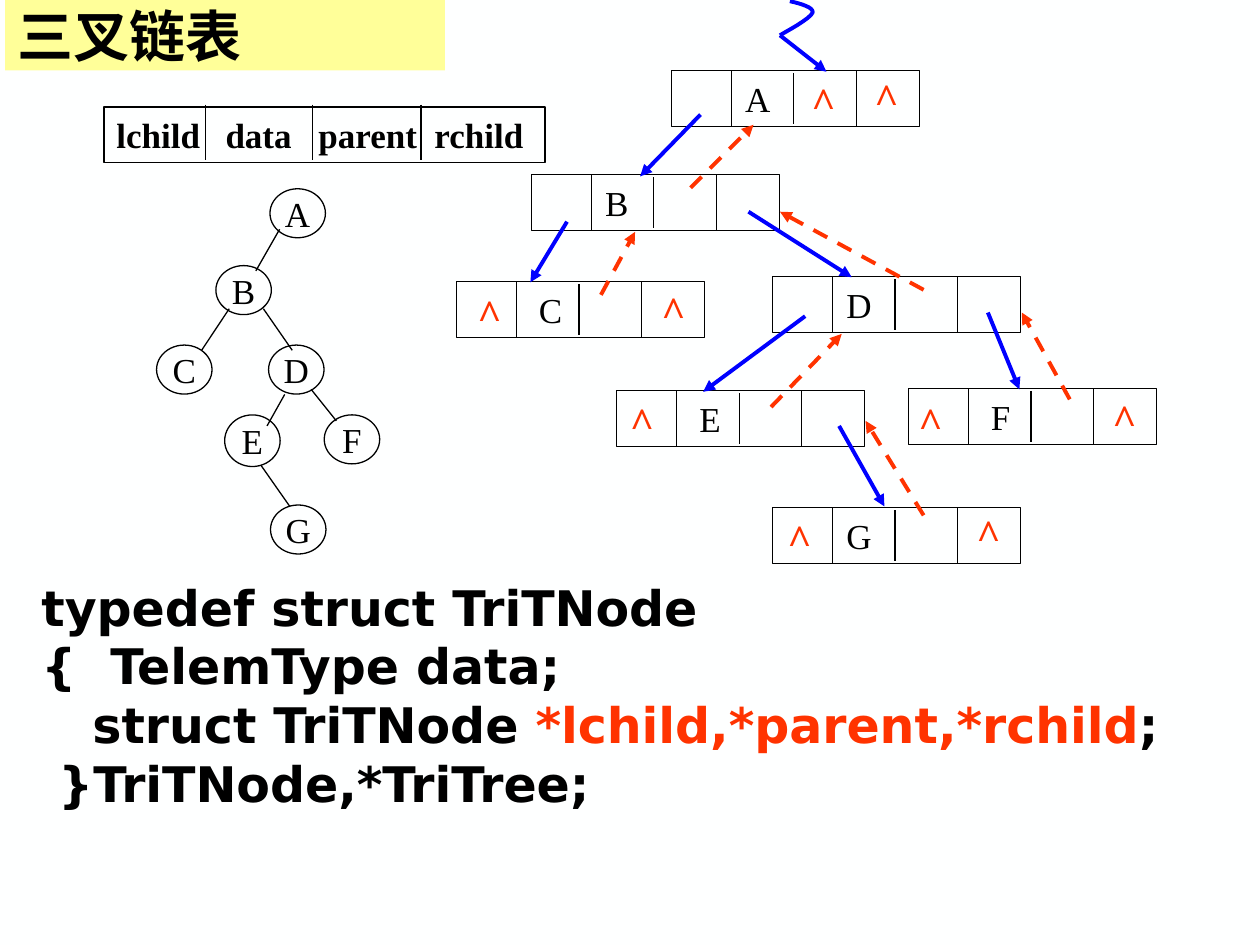
from lxml.etree import SubElement
from pptx import Presentation
from pptx.dml.color import RGBColor
from pptx.enum.dml import MSO_LINE
from pptx.enum.shapes import MSO_CONNECTOR, MSO_SHAPE
from pptx.enum.text import MSO_ANCHOR, PP_ALIGN
from pptx.oxml.ns import qn
from pptx.util import Pt

COLORS = {"paper": "FEFFFF", "title": "FFFF99", "ink": "000000", "child": "0000FF", "parent": "FF3300"}
SERIF, SANS, CHINESE = "Times New Roman", "DejaVu Sans", "Noto Sans CJK SC"

TITLE = "三叉链表"
FIELDS = ["lchild", "data", "parent", "rchild"]
FIELD_TABS = [62.3, 115.4, 181.7]
FIELD_DIVIDERS = [117.4, 178.6, 240.5]
CODE = [
    [("typedef struct TriTNode", "ink")],
    [("{  TelemType data;", "ink")],
    [("   struct TriTNode ", "ink"), ("*lchild,*parent,*rchild", "parent"), (";", "ink")],
    [(" }TriTNode,*TriTree;", "ink")],
]

TREE_NODES = {
    "A": (154.3, 107.9, 28), "B": (123.4, 151.8, 28), "C": (89.5, 197.2, 28), "D": (153.5, 197.2, 28),
    "E": (128.4, 237.1, 29.5), "F": (185.3, 237.1, 28), "G": (154.6, 288.6, 28),
}
TREE_WIDTH = 31.7
TREE_EDGES = [
    (159.8, 131, 146.2, 154.8), (131, 176.4, 115.2, 200.2), (150.5, 176.4, 167, 200.2),
    (162.7, 225.4, 152.6, 243.4), (177.8, 222.5, 192.2, 240.5), (149, 265.7, 165.6, 289.4),
]

RECORDS = {
    "A": (383.6, 40.3, 42.2), "B": (303.6, 99.9, 42.2), "C": (260.8, 160.8, 47.2), "D": (441.4, 158.2, 42.2),
    "E": (352.4, 223.2, 47.2), "F": (519.1, 222, 47.2), "G": (441.4, 290.1, 42.2),
}
RECORD_WIDTH, RECORD_HEIGHT = 141.8, 31.9
RECORD_DIVIDERS = [(34.3, 0), (70, 1.4), (105.7, 0)]
CHILD_LINKS = [
    (400.3, 65.5, 365.8, 100.8), (324, 126.7, 303.1, 161.3), (460.1, 180.7, 401.8, 223.9),
    (427.7, 121, 486.7, 158.4), (564.5, 178.6, 582.5, 222.5), (479.5, 243.4, 505.4, 289.4),
    (445.7, 20.2, 472.3, 41),
]
PARENT_LINKS = [
    (394.6, 107.3, 430.6, 71.3), (343.4, 168.5, 362.9, 132.5), (527.8, 165.6, 445.7, 121),
    (440.6, 232.6, 481, 190.8), (527.8, 294.5, 494.6, 240.5), (611.3, 228.2, 583.9, 178.6),
]
ROOT_CURVE = [
    [(451.4, 0.7), (457.9, 2.2), (465.1, 4.3), (464.4, 7.2)],
    [(464.4, 7.2), (463, 10.8), (449.3, 18), (445.7, 20.2)],
]
NULL_MARKS = [
    (456.5, 39.6), (492.5, 37.4), (265.7, 160.6), (370.8, 159.1), (352.8, 222.5),
    (517.7, 222.5), (628.6, 221), (442.8, 289.4), (550.8, 286.6),
]


def color(name):
    return RGBColor.from_string(COLORS[name])


def set_font(target, size, name, ink="ink", bold=False):
    font = target.font
    font.size, font.name, font.bold = Pt(size), name, bold
    font.color.rgb = color(ink)


def add_box(slide, kind, left, top, width, height, fill=None, line="ink"):
    shape = slide.shapes.add_shape(kind, Pt(left), Pt(top), Pt(width), Pt(height))
    shape.shadow.inherit = False
    if fill:
        shape.fill.solid()
        shape.fill.fore_color.rgb = color(fill)
    else:
        shape.fill.background()
    if line:
        shape.line.color.rgb, shape.line.width = color(line), Pt(0.75)
    else:
        shape.line.fill.background()
    return shape


def write(shape, text, size, name, ink="ink", bold=False, align=PP_ALIGN.LEFT, wrap=False, inset=7.2, tabs=()):
    frame = shape.text_frame
    frame.word_wrap, frame.vertical_anchor, frame.margin_left = wrap, MSO_ANCHOR.MIDDLE, Pt(inset)
    paragraph = frame.paragraphs[0]
    paragraph.text, paragraph.alignment = text, align
    if tabs:
        tab_list = SubElement(paragraph._p.get_or_add_pPr(), qn("a:tabLst"))
        for position in tabs:
            SubElement(tab_list, qn("a:tab"), pos=str(Pt(position)), algn="l")
    set_font(paragraph, size, name, ink, bold)
    return paragraph


def add_line(slide, ends, ink="ink", width=0.75, arrow=False, dashed=False):
    connector = slide.shapes.add_connector(MSO_CONNECTOR.STRAIGHT, *map(Pt, ends))
    connector.line.color.rgb, connector.line.width = color(ink), Pt(width)
    if dashed:
        connector.line.dash_style = MSO_LINE.DASH
    if arrow:
        SubElement(connector.line._get_or_add_ln(), qn("a:tailEnd"), type="triangle")
    SubElement(connector._element.spPr, qn("a:effectLst"))


def bezier_point(points, t):
    weights = [(1 - t) ** 3, 3 * t * (1 - t) ** 2, 3 * t ** 2 * (1 - t), t ** 3]
    return tuple(Pt(sum(w * p[axis] for w, p in zip(weights, points))) for axis in (0, 1))


def add_root_curve(slide, steps=8):
    points = [bezier_point(part, step / steps) for part in ROOT_CURVE for step in range(steps + 1)]
    builder = slide.shapes.build_freeform(*points[0])
    builder.add_line_segments(points[1:], close=False)
    curve = builder.convert_to_shape()
    curve.shadow.inherit = False
    curve.fill.background()
    curve.line.color.rgb, curve.line.width = color("child"), Pt(2.25)


def add_tree(slide):
    for letter, (left, top, height) in TREE_NODES.items():
        node = add_box(slide, MSO_SHAPE.OVAL, left, top, TREE_WIDTH, height)
        write(node, letter, 20, SERIF, align=PP_ALIGN.CENTER)
    for edge in TREE_EDGES:
        add_line(slide, edge)


def add_linked_list(slide):
    for letter, (left, top, inset) in RECORDS.items():
        record = add_box(slide, MSO_SHAPE.RECTANGLE, left, top, RECORD_WIDTH, RECORD_HEIGHT)
        write(record, letter, 20, SERIF, inset=inset)
        for offset, gap in RECORD_DIVIDERS:
            add_line(slide, (left + offset, top + gap, left + offset, top + RECORD_HEIGHT - gap))
    for link in CHILD_LINKS:
        add_line(slide, link, "child", 2.25, arrow=True)
    for link in PARENT_LINKS:
        add_line(slide, link, "parent", 2.25, arrow=True, dashed=True)
    add_root_curve(slide)
    for left, top in NULL_MARKS:
        mark = slide.shapes.add_textbox(Pt(left), Pt(top), Pt(28.1), Pt(36))
        write(mark, "^", 24, SERIF, "parent", True, PP_ALIGN.CENTER)


def add_field_bar(slide):
    bar = add_box(slide, MSO_SHAPE.RECTANGLE, 59.5, 61.2, 252, 31.7)
    write(bar, "\t".join(FIELDS), 20, SERIF, bold=True, wrap=True, tabs=FIELD_TABS)
    for x in FIELD_DIVIDERS:
        add_line(slide, (x, 59.8, x, 91.4))


def add_code(slide):
    box = slide.shapes.add_textbox(Pt(16.6), Pt(326.2), Pt(671.8), Pt(141.8))
    box.text_frame.word_wrap = True
    paragraph = box.text_frame.paragraphs[0]
    for index, line in enumerate(CODE):
        if index:
            paragraph.add_line_break()
        for text, ink in line:
            run = paragraph.add_run()
            run.text = text
            set_font(run, 28, SANS, ink, True)


def main():
    """Build the slide on ternary linked lists."""
    presentation = Presentation()
    presentation.slide_width, presentation.slide_height = Pt(720), Pt(540)
    slide = presentation.slides.add_slide(presentation.slide_layouts[6])
    slide.background.fill.solid()
    slide.background.fill.fore_color.rgb = color("paper")
    title = add_box(slide, MSO_SHAPE.RECTANGLE, 2.9, 0, 251.3, 40.3, "title", None)
    paragraph = write(title, TITLE, 32, CHINESE, bold=True, wrap=True)
    east_asian = SubElement(paragraph.font._element, qn("a:ea"))
    east_asian.set("typeface", CHINESE)
    add_tree(slide)
    add_linked_list(slide)
    add_field_bar(slide)
    add_code(slide)
    presentation.save("out.pptx")


if __name__ == "__main__":
    main()
